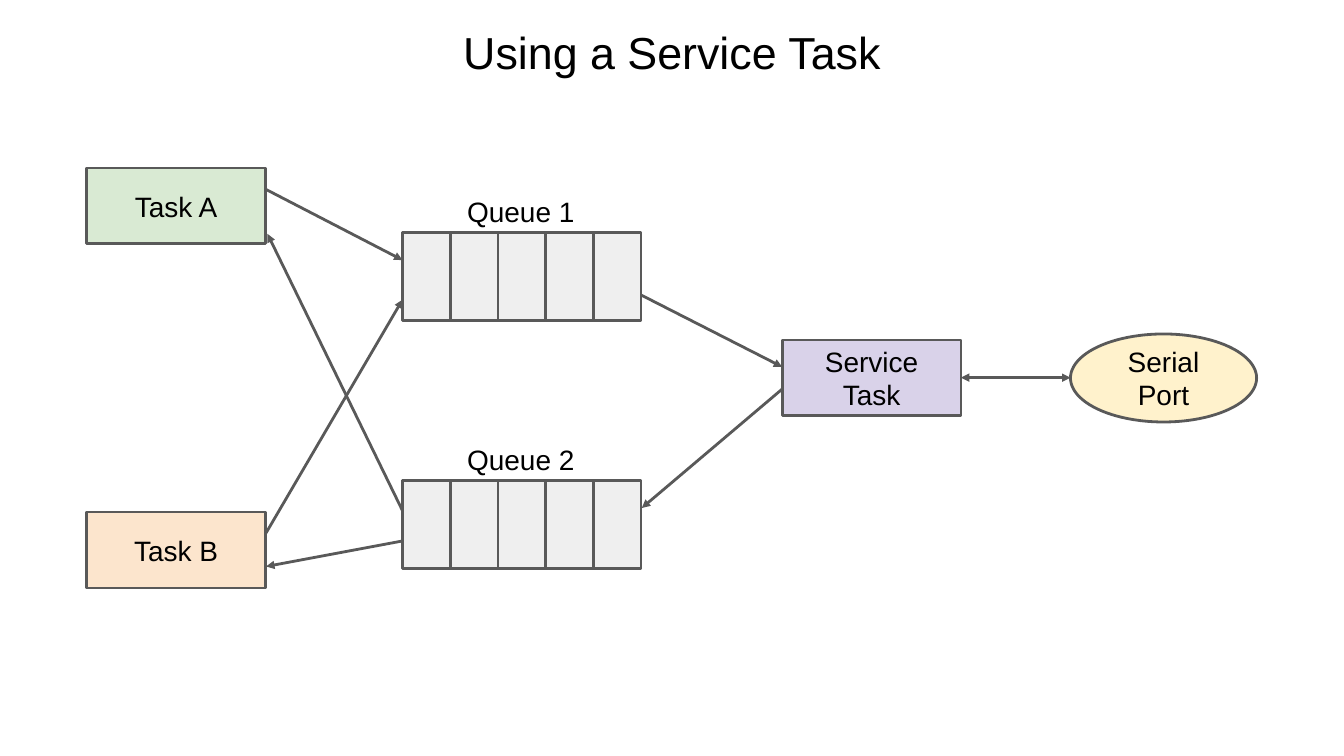
from lxml import etree
from pptx import Presentation
from pptx import util as u
from pptx.dml import color
from pptx.enum import shapes, text
from pptx.oxml import ns

COLS, ROWS = 20, 11.25
HUES = {
    "ink": "000000", "edge": "595959", "green": "D9EAD3", "peach": "FCE5CD",
    "grey": "EFEFEF", "violet": "D9D2E9", "cream": "FFF2CC",
}
RECT = shapes.MSO_SHAPE.RECTANGLE
OVAL = shapes.MSO_SHAPE.OVAL


def rgb(hue):
    return color.RGBColor.from_string(HUES[hue])


def write(shape, words, size=30, font="Arial", hue="ink"):
    frame = shape.text_frame
    frame.word_wrap = True
    frame.vertical_anchor = text.MSO_ANCHOR.MIDDLE
    frame.margin_left = frame.margin_right = u.Inches(0.1)
    frame.margin_top = frame.margin_bottom = u.Inches(0.1)
    frame.text = words
    for para in frame.paragraphs:
        para.alignment = text.PP_ALIGN.CENTER
        for run in para.runs:
            run.font.name = font
            run.font.size = u.Pt(size)
            run.font.color.rgb = rgb(hue)


class Board:
    def __init__(self, deck, edge="edge", weight=3):
        self.slide = deck.slides.add_slide(deck.slide_layouts[6])
        self.col = deck.slide_width / COLS
        self.row = deck.slide_height / ROWS
        self.edge = edge
        self.weight = weight

    def place(self, x, y, w, h):
        return (round(x * self.col), round(y * self.row),
                round(w * self.col), round(h * self.row))

    def stroke(self, item):
        item.line.color.rgb = rgb(self.edge)
        item.line.width = u.Pt(self.weight)

    def node(self, area, hue, words="", kind=RECT):
        shape = self.slide.shapes.add_shape(kind, *self.place(*area))
        shape.shadow.inherit = False
        shape.fill.solid()
        shape.fill.fore_color.rgb = rgb(hue)
        self.stroke(shape)
        if words:
            write(shape, words)

    def label(self, area, words, **style):
        write(self.slide.shapes.add_textbox(*self.place(*area)), words, **style)

    def queue(self, words, top, left=5.99, cells=5, wide=0.71, high=1.31):
        for n in range(cells):
            self.node((left + n * wide, top, wide, high), "grey")
        self.label((6.61, top - 0.67, 2.28, 0.71), words)

    def arrow(self, start, end, both=False):
        ends = self.place(*start, *end)
        line = self.slide.shapes.add_connector(shapes.MSO_CONNECTOR.STRAIGHT, *ends)
        self.stroke(line)
        for tag in ("a:headEnd", "a:tailEnd") if both else ("a:tailEnd",):
            etree.SubElement(line.line._get_or_add_ln(), ns.qn(tag), type="triangle")
        etree.SubElement(line._element.spPr, ns.qn("a:effectLst"))


deck = Presentation()
deck.slide_width, deck.slide_height = u.Inches(20), u.Inches(11.25)
board = Board(deck)

board.label((5.15, 0, 9.7, 1.54), "Using a Service Task", size=48)

for x, y, hue, words in (
    (1.29, 2.5, "green", "Task A"),
    (1.29, 7.62, "peach", "Task B"),
    (11.64, 5.06, "violet", "Service\nTask"),
):
    board.node((x, y, 2.66, 1.13), hue, words)
board.node((15.93, 4.97, 2.77, 1.31), "cream", "Serial Port", kind=OVAL)

for words, top in (("Queue 1", 3.46), ("Queue 2", 7.15)):
    board.queue(words, top)

for start, end in (
    ((3.96, 2.82), (5.99, 3.87)),
    ((9.54, 4.39), (11.64, 5.46)),
    ((3.96, 7.93), (5.99, 4.46)),
    ((11.64, 5.79), (9.55, 7.56)),
    ((5.99, 8.05), (3.96, 8.43)),
    ((5.99, 7.6), (3.98, 3.48)),
):
    board.arrow(start, end)
board.arrow((14.3, 5.62), (15.93, 5.62), both=True)

deck.save("out.pptx")
